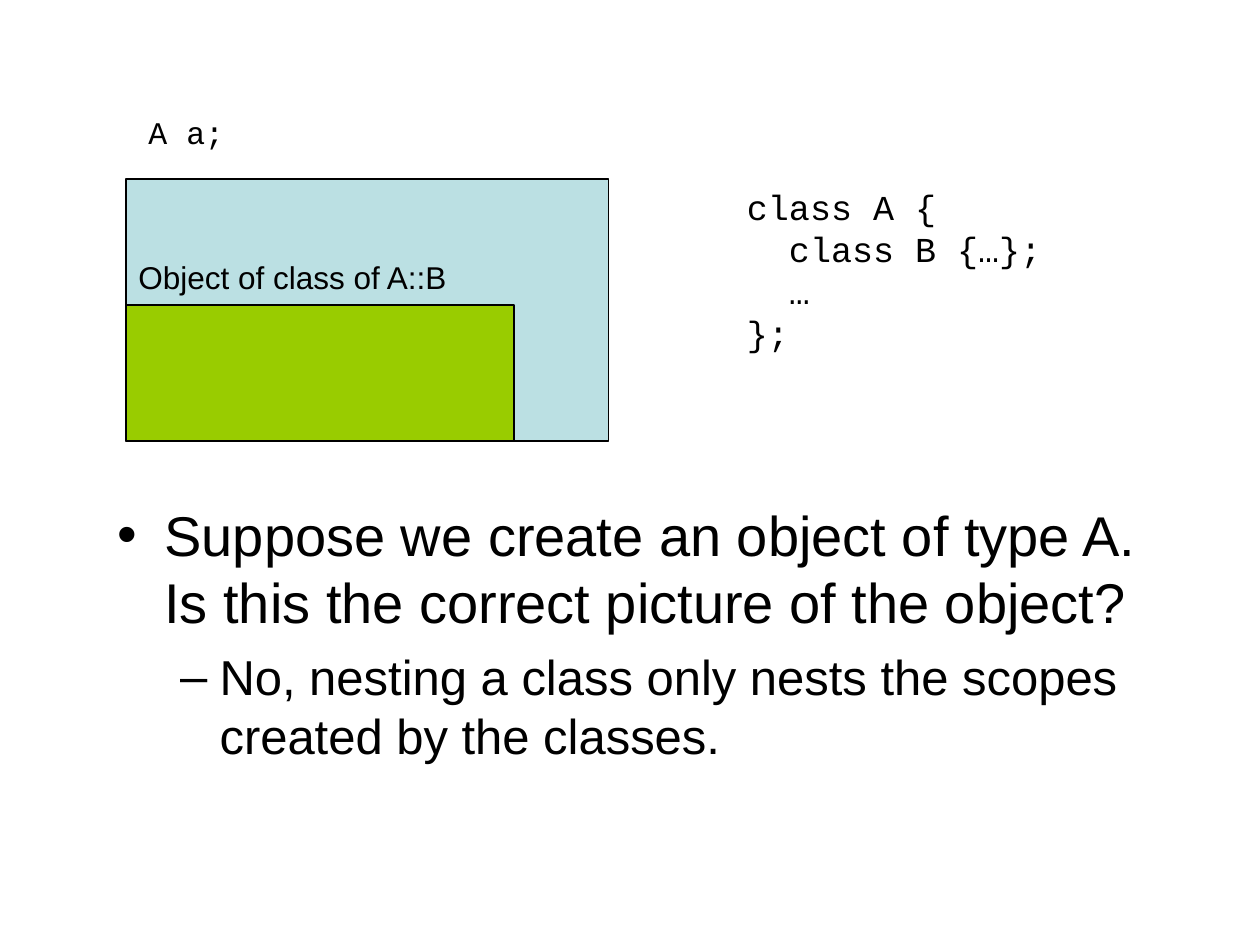
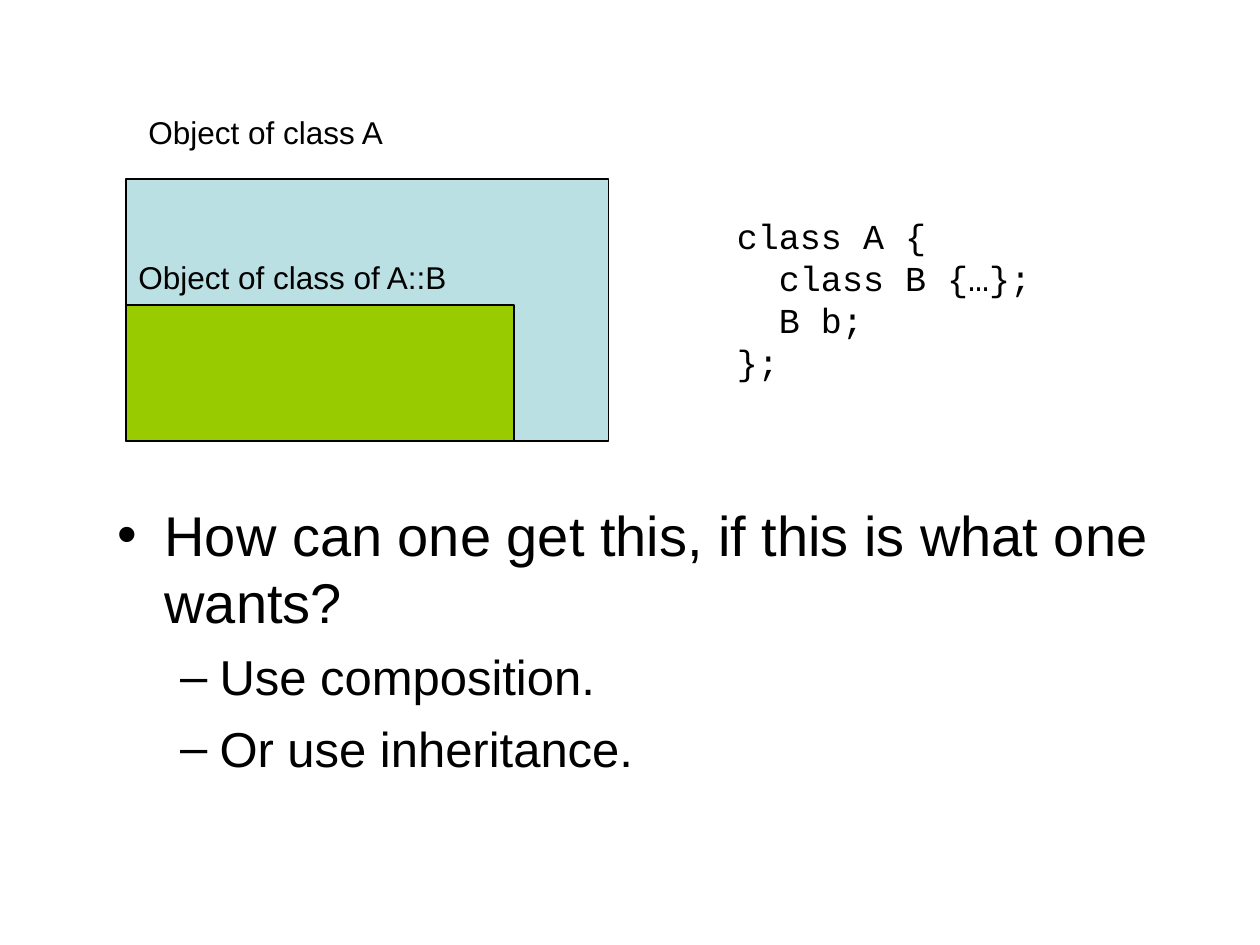
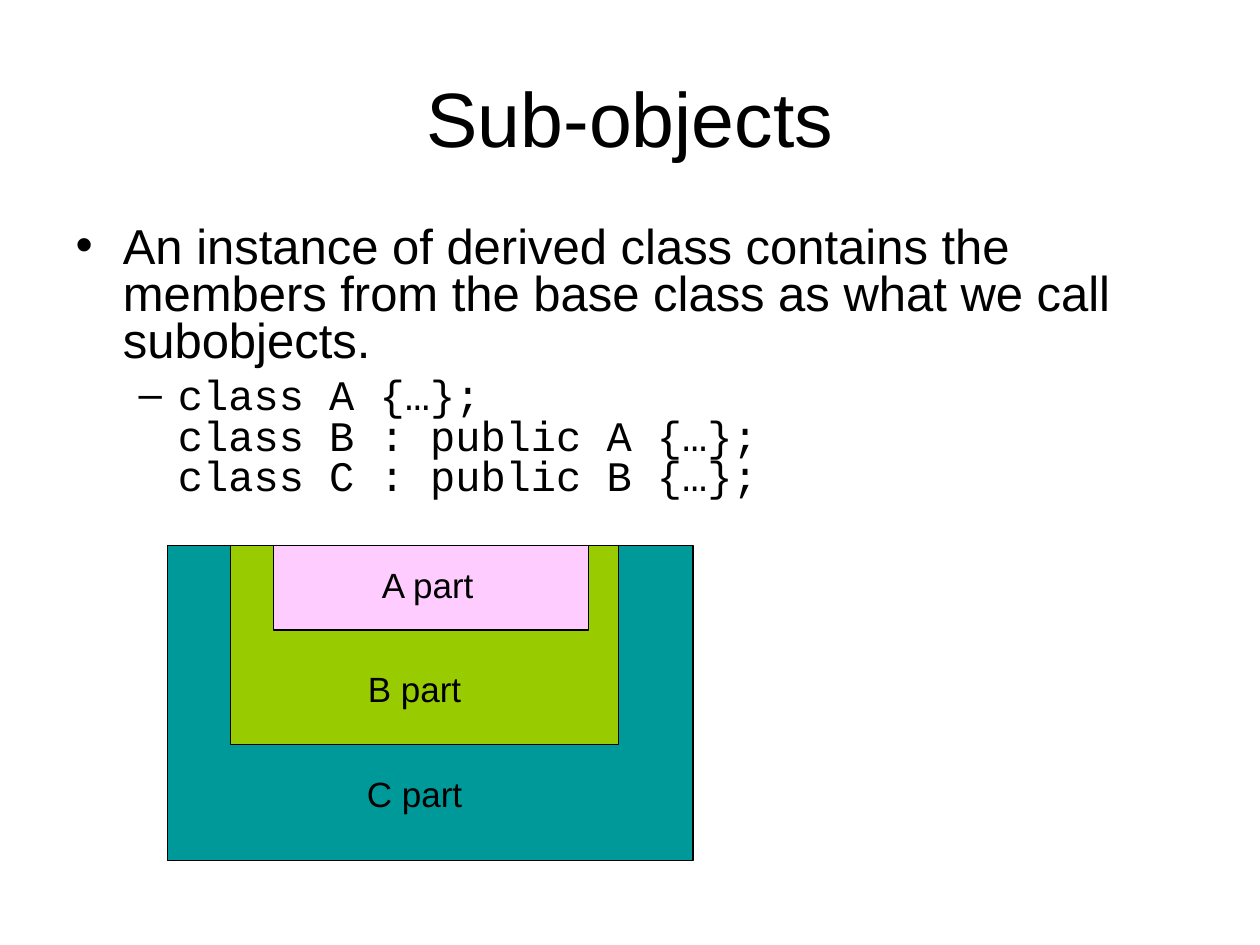
from pptx import Presentation
from pptx.dml.color import RGBColor
from pptx.enum.shapes import MSO_SHAPE
from pptx.enum.text import MSO_ANCHOR, MSO_AUTO_SIZE, PP_ALIGN
from pptx.util import Inches, Pt

RECTANGLE = MSO_SHAPE.RECTANGLE
LEFT, CENTER = PP_ALIGN.LEFT, PP_ALIGN.CENTER
SANS, MONO = "Arial", "Courier New"
BLACK, PALE_BLUE, GREEN = "000000", "BBE0E3", "99CC00"
TEAL, PINK = "009999", "FFCCFF"

# Content: "\v" breaks a line inside a paragraph, "\n" starts a new paragraph
NESTING_SLIDES = [
    {
        "heading": ("A a;", MONO),
        "code": ("class A {\v  class B {…};\v  …\v};", 5.83, 1.42),
        "body_width": 8.58,
        "points": [
            (0, "Suppose we create an object of type A. "
                "Is this the correct picture of the object?"),
            (1, "No, nesting a class only nests the scopes created by the classes."),
        ],
    },
    {
        "heading": ("Object of class A", SANS),
        "code": ("class A {\v  class B {…};\n  B b;\v};", 5.75, 1.65),
        "body_width": 8.5,
        "points": [
            (0, "How can one get this, if this is what one wants?"),
            (1, "Use composition."),
            (1, "Or use inheritance."),
        ],
    },
]
INNER_LABEL = "Object of class of A::B"

SUBOBJECT_TITLE = "Sub-objects"
SUBOBJECT_POINTS = [
    (0, "An instance of derived class contains the members from the base class "
        "as what we call subobjects."),
    (1, "class A {…};\vclass B : public A {…};\vclass C : public B {…};"),
]
# Outermost part first: label, colour, left, width, height, label left, label width
PARTS_TOP = 4.33
PARTS = [
    ("C part", TEAL, 1.33, 4.17, 2.5, 2.58, 1.42),
    ("B part", GREEN, 1.83, 3.08, 1.58, 2.58, 1.42),
    ("A part", PINK, 2.17, 2.5, 0.67, 2.83, 1.13),
]
LABEL_BOTTOM, LABEL_STEP = 6.08, 0.83

# Level styles: font, size, space before
LARGE_LEVELS = [(SANS, 32, 8), (SANS, 28, 7)]
COMPACT_LEVELS = [(SANS, 28, 7), (MONO, 24, 6)]


def color(hex_string):
    return RGBColor.from_string(hex_string)


def style_runs(paragraph, font_name, size):
    for run in paragraph.runs:
        run.font.name = font_name
        run.font.size = Pt(size)
        run.font.color.rgb = color(BLACK)


def place(shape, left, top, width, height):
    shape.left, shape.top = Inches(left), Inches(top)
    shape.width, shape.height = Inches(width), Inches(height)


def add_block(slide, fill, left, top, width, height):
    block = slide.shapes.add_shape(
        RECTANGLE, Inches(left), Inches(top), Inches(width), Inches(height))
    block.shadow.inherit = False
    block.fill.solid()
    block.fill.fore_color.rgb = color(fill)
    block.line.color.rgb = color(BLACK)
    block.line.width = Pt(0.75)


def add_label(slide, text, left, top, width, height, size, font_name=SANS, align=LEFT):
    label = slide.shapes.add_textbox(
        Inches(left), Inches(top), Inches(width), Inches(height))
    frame = label.text_frame
    frame.word_wrap = True
    frame.auto_size = MSO_AUTO_SIZE.SHAPE_TO_FIT_TEXT
    frame.text = text
    for paragraph in frame.paragraphs:
        paragraph.alignment = align
        style_runs(paragraph, font_name, size)


def fill_body(slide, points, levels, bounds, line_spacing=None):
    body = slide.placeholders[1]
    place(body, *bounds)
    frame = body.text_frame
    frame.auto_size = MSO_AUTO_SIZE.NONE
    frame.text = "\n".join(text for _, text in points)
    for paragraph, (level, _) in zip(frame.paragraphs, points):
        font_name, size, space_before = levels[level]
        paragraph.level = level
        paragraph.space_before = Pt(space_before)
        paragraph.line_spacing = line_spacing
        style_runs(paragraph, font_name, size)


def build_nesting_slide(prs, content):
    slide = prs.slides.add_slide(prs.slide_layouts[1])
    title = slide.shapes.title.element
    title.getparent().remove(title)
    fill_body(slide, content["points"], LARGE_LEVELS,
              (0.83, 3.92, content["body_width"], 2.75))

    # Inner object sits in the lower left corner of the outer one
    add_block(slide, PALE_BLUE, 1, 1.42, 3.83, 2.08)
    add_block(slide, GREEN, 1, 2.42, 3.08, 1.08)
    heading, heading_font = content["heading"]
    add_label(slide, heading, 1.08, 0.85, 2.42, 0.4, 18, heading_font)
    add_label(slide, INNER_LABEL, 1, 2, 2.75, 0.4, 18)

    code, left, top = content["code"]
    add_label(slide, code, left, top, 3.25, 1.44, 20, MONO)


def build_subobject_slide(prs):
    slide = prs.slides.add_slide(prs.slide_layouts[1])
    title = slide.shapes.title
    place(title, 0.5, 0.3, 9, 1.25)
    title.text_frame.text = SUBOBJECT_TITLE
    title.text_frame.vertical_anchor = MSO_ANCHOR.MIDDLE
    title.text_frame.paragraphs[0].alignment = CENTER
    style_runs(title.text_frame.paragraphs[0], SANS, 44)
    fill_body(slide, SUBOBJECT_POINTS, COMPACT_LEVELS, (0.5, 1.75, 9, 2.5), 0.8)

    # Nested parts share a top edge; their labels step upwards
    for index, (name, fill, left, width, height, label_left, label_width) in enumerate(PARTS):
        add_block(slide, fill, left, PARTS_TOP, width, height)
        add_label(slide, name, label_left, LABEL_BOTTOM - index * LABEL_STEP,
                  label_width, 0.44, 20, align=CENTER)


def main():
    prs = Presentation()
    prs.slide_width, prs.slide_height = Inches(10), Inches(7.5)
    for content in NESTING_SLIDES:
        build_nesting_slide(prs, content)
    build_subobject_slide(prs)
    prs.save("out.pptx")


if __name__ == "__main__":
    main()
